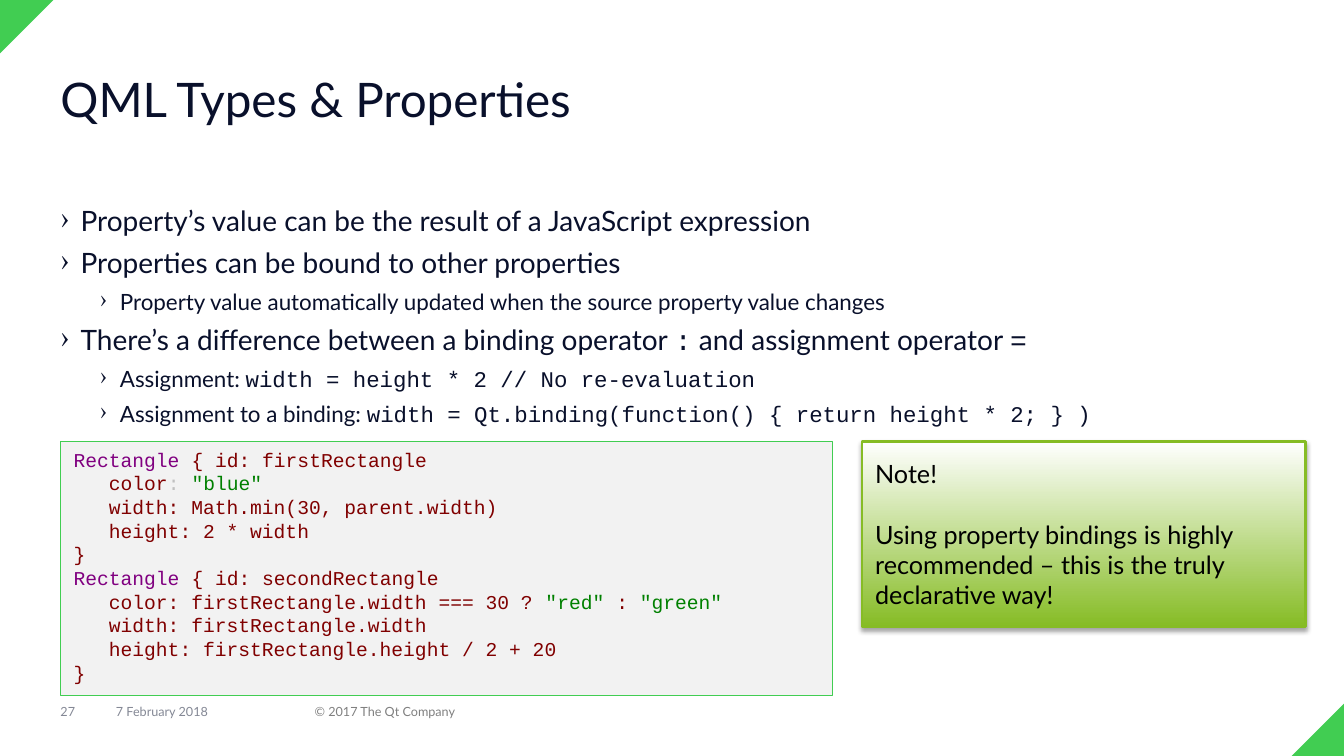
import pptx
import pptx.util
import pptx.dml.color
import pptx.enum.shapes
import pptx.enum.text
import pptx.oxml
import pptx.oxml.ns

Inches = pptx.util.Inches
Pt = pptx.util.Pt
RGBColor = pptx.dml.color.RGBColor
ANCHOR = pptx.enum.text.MSO_ANCHOR
SHAPE = pptx.enum.shapes.MSO_SHAPE

GREEN = RGBColor(0x41, 0xCD, 0x52)
NAVY = RGBColor(0x09, 0x10, 0x2B)
SLATE = RGBColor(0x84, 0x88, 0x95)
GRAY = RGBColor(0x80, 0x80, 0x80)
LIME = RGBColor(0x86, 0xBC, 0x25)
WHITE = RGBColor(0xFF, 0xFF, 0xFF)
BLACK = RGBColor(0, 0, 0)
PANEL = RGBColor(0xF2, 0xF2, 0xF2)
TYPE = RGBColor(0x80, 0, 0x80)
CODE = RGBColor(0x80, 0, 0)
STRING = RGBColor(0, 0x80, 0)
FAINT = RGBColor(0xC0, 0xC0, 0xC0)

SANS, MONO = "Lato", "Courier New"
MARGIN = 0.6

# Each bullet: level, then (text, font) spans
BULLETS = [
    (0, [("Property’s value can be the result of a JavaScript expression", SANS)]),
    (0, [("Properties can be bound to other properties", SANS)]),
    (1, [("Property value automatically updated when the source property value changes", SANS)]),
    (0, [("There’s a difference between a binding operator ", SANS), (":", MONO),
         (" and assignment operator ", SANS), ("=", MONO)]),
    (1, [("Assignment: ", SANS), ("width = height * 2 // No re-evaluation", MONO)]),
    (1, [("Assignment to a binding: ", SANS),
         ("width = Qt.binding(function() { return height * 2; } )", MONO)]),
]

# Each code line: (text, colour) spans
CODE_LINES = [
    [("Rectangle ", TYPE), ("{ id: firstRectangle", CODE)],
    [("   color", CODE), (": ", FAINT), ('"blue"', STRING)],
    [("   width: Math.min(30, parent.width)", CODE)],
    [("   height: 2 * width", CODE)],
    [("}", CODE)],
    [("Rectangle ", TYPE), ("{ id: secondRectangle", CODE)],
    [("   color: firstRectangle.width === 30 ? ", CODE), ('"red" ', STRING),
     (": ", CODE), ('"green"', STRING)],
    [("   width: firstRectangle.width", CODE)],
    [("   height: firstRectangle.height / 2 + 20", CODE)],
    [("}", CODE)],
]


def set_frame(shape, anchor, side=0, edge=0):
    frame = shape.text_frame
    frame.word_wrap = True
    frame.vertical_anchor = anchor
    frame.margin_left = frame.margin_right = Inches(side)
    frame.margin_top = frame.margin_bottom = Inches(edge)
    return frame


def add_para(frame, index):
    para = frame.add_paragraph() if index else frame.paragraphs[0]
    para.alignment = pptx.enum.text.PP_ALIGN.LEFT
    return para


def set_font(font, size, color, name=SANS):
    font.size, font.name = Pt(size), name
    font.color.rgb = color


def add_label(page, place, text, size, color, anchor=ANCHOR.MIDDLE):
    box = page.shapes.add_textbox(*map(Inches, place))
    para = add_para(set_frame(box, anchor), 0)
    para.text = text
    set_font(para.font, size, color)
    return para


def add_panel(page, kind, place):
    shape = page.shapes.add_shape(kind, *map(Inches, place))
    shape.shadow.inherit = False
    return shape


def add_corner(page, place, flip):
    corner = add_panel(page, SHAPE.RIGHT_TRIANGLE, place)
    corner.fill.solid()
    corner.fill.fore_color.rgb = GREEN
    corner.line.fill.background()
    corner.element.spPr.find(pptx.oxml.ns.qn("a:xfrm")).set(flip, "1")


def set_bullet(para, level):
    props = para._p.get_or_add_pPr()
    props.set("marL", str(Inches(0.59 if level else 0.2)))
    props.set("indent", str(Inches(-0.2)))
    bullet = props.makeelement(pptx.oxml.ns.qn("a:buChar"), {"char": "›"})
    props.append(bullet)


def add_bullets(page, place):
    box = page.shapes.add_textbox(*map(Inches, place))
    frame = set_frame(box, ANCHOR.TOP)
    for index, (level, spans) in enumerate(BULLETS):
        para = add_para(frame, index)
        para.level = level
        if index:
            para.space_before = Pt(6)
        set_bullet(para, level)
        for text, name in spans:
            span = para.add_run()
            span.text = text
            set_font(span.font, 16 if level else 20, NAVY, name)


def add_code(page, place):
    panel = add_panel(page, SHAPE.RECTANGLE, place)
    panel.fill.solid()
    panel.fill.fore_color.rgb = PANEL
    panel.line.color.rgb = GREEN
    panel.line.width = Pt(0.75)
    frame = set_frame(panel, ANCHOR.TOP, 0.13, 0.06)
    for index, spans in enumerate(CODE_LINES):
        para = add_para(frame, index)
        para.line_spacing = Pt(16.9)
        for text, color in spans:
            span = para.add_run()
            span.text = text
            set_font(span.font, 14, color, MONO)


def add_soft_shadow(shape):
    effects = shape.element.spPr.find(pptx.oxml.ns.qn("a:effectLst"))
    effects.append(pptx.oxml.parse_xml(
        f'<a:outerShdw {pptx.oxml.ns.nsdecls("a")} blurRad="{Pt(3.1)}" dist="{Pt(1.8)}"'
        ' dir="5400000" rotWithShape="0"><a:srgbClr val="000000">'
        '<a:alpha val="35000"/></a:srgbClr></a:outerShdw>'))


def add_note(page, place, lines):
    note = add_panel(page, SHAPE.RECTANGLE, place)
    note.fill.gradient()
    note.fill.gradient_angle = 90
    for stop, color in zip(note.fill.gradient_stops, (LIME, WHITE)):
        stop.color.rgb = color
    note.line.color.rgb = LIME
    note.line.width = Pt(2)
    add_soft_shadow(note)
    frame = set_frame(note, ANCHOR.MIDDLE, 0.13, 0.06)
    for index, text in enumerate(lines):
        para = add_para(frame, index)
        para.text = text
        if index:
            para.space_before = Pt(21.6)
        set_font(para.font, 18, BLACK)


def main():
    deck = pptx.Presentation()
    deck.slide_width, deck.slide_height = Inches(13.33), Inches(7.5)
    page = deck.slides.add_slide(deck.slide_layouts[6])

    # Corner decoration
    add_corner(page, (-0.01, 0, 0.54, 0.54), "flipV")
    add_corner(page, (12.81, 6.98, 0.52, 0.52), "flipH")

    # Title and bullets
    title = add_label(page, (MARGIN, 0.76, 12.13, 1.02), "QML Types & Properties",
                      34, NAVY, ANCHOR.TOP)
    title.line_spacing = 0.9
    add_bullets(page, (MARGIN, 2.02, 12.13, 4.73))

    # Note and code panels
    add_note(page, (8.55, 4.38, 4.4, 1.84), [
        "Note!",
        "Using property bindings is highly recommended – this is the truly declarative way!",
    ])
    add_code(page, (MARGIN, 4.38, 7.66, 2.52))

    # Footer
    for left, width, text, color in [
        (MARGIN, 0.55, "27", SLATE),
        (1.15, 1.97, "7 February 2018", SLATE),
        (3.12, 9.61, "© 2017 The Qt Company", GRAY),
    ]:
        add_label(page, (left, 6.98, width, 0.16), text, 9, color)

    deck.save("out.pptx")


if __name__ == "__main__":
    main()
